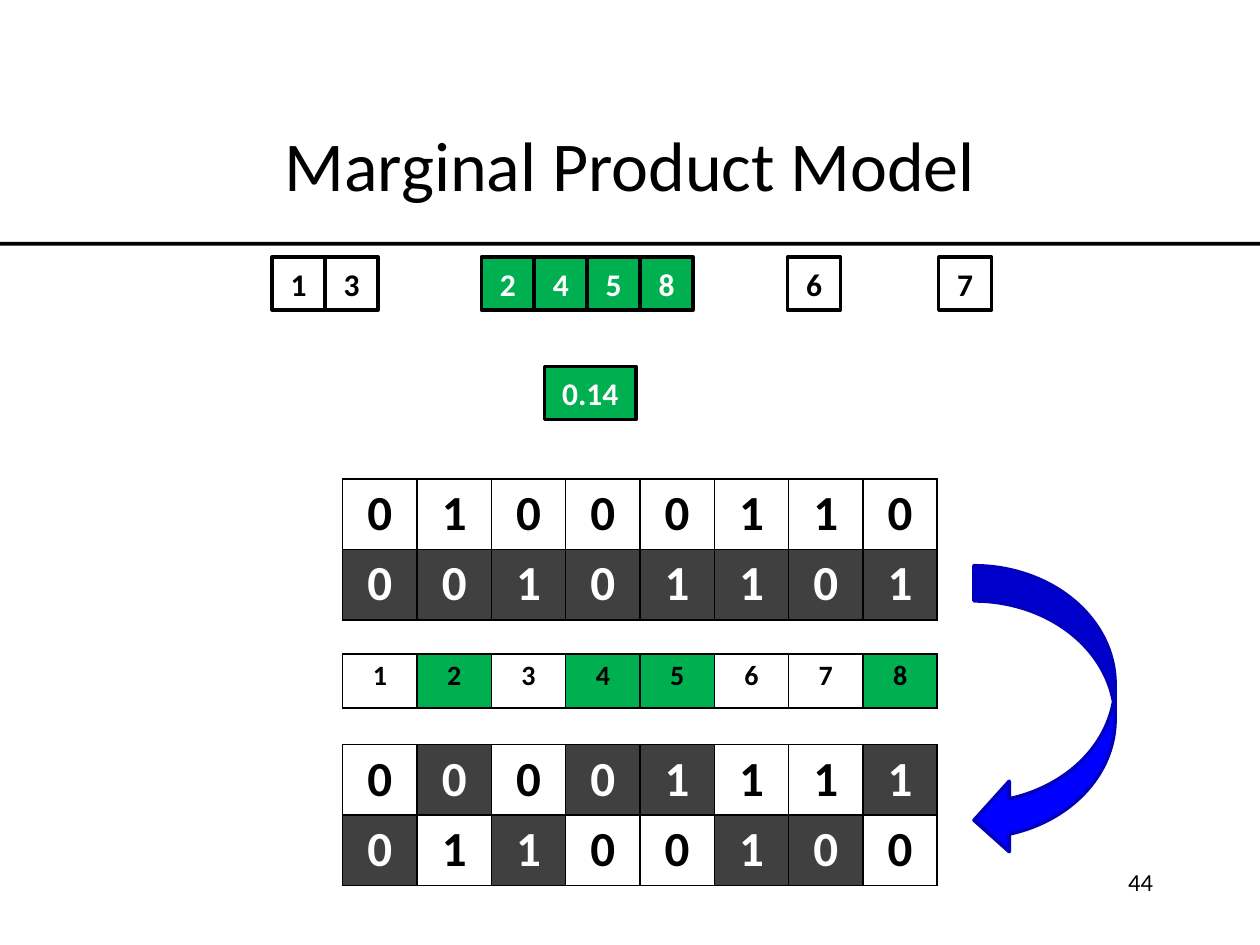
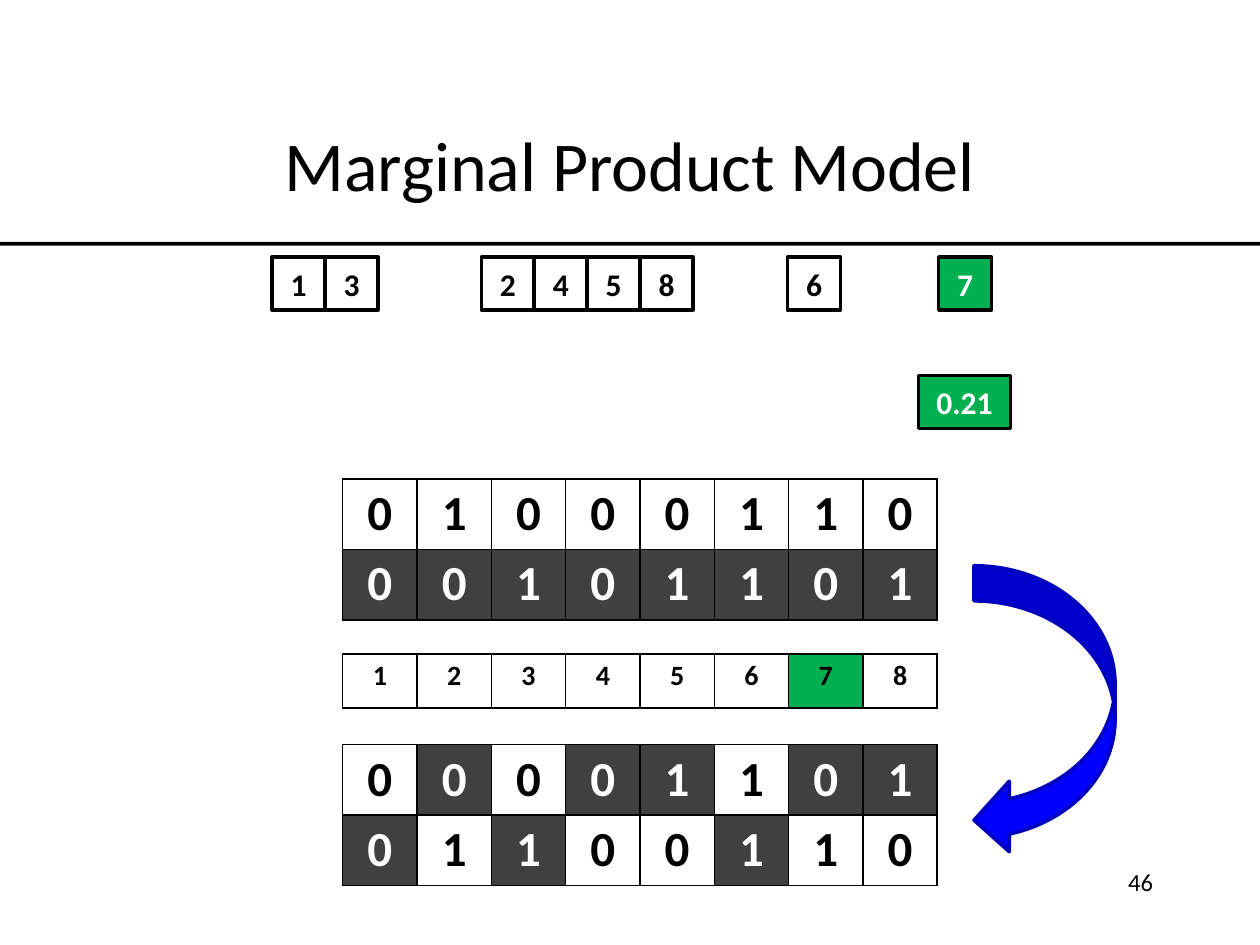
from lxml.etree import SubElement
from pptx import Presentation
from pptx.dml.color import RGBColor
from pptx.enum.shapes import MSO_SHAPE as SHAPE
from pptx.enum.text import MSO_ANCHOR as ANCHOR, PP_ALIGN as ALIGN
from pptx.oxml.ns import qn
from pptx.util import Inches, Pt

COLORS = {
    "ink": "000000",
    "paper": "FFFFFF",
    "active": "00B050",
    "second_parent": "404040",
    "arrow": "0000FF",
    "arrow_edge": "0000BD",
}
FONT = "Calibri"
PARENTS = ["01000110", "00101101"]
GENES = range(1, 9)
BLOCKS = [(2.16, [1, 3]), (3.82, [2, 4, 5, 8]), (6.25, [6]), (7.45, [7])]
GENE_SIZE = 0.42
COLUMN_WIDTH = 0.59
GRID_LEFT = 2.72


def rgb(name):
    """Return the named colour."""
    return RGBColor.from_string(COLORS[name])


def write(frame, text, size=18, color="ink", bold=False, align=ALIGN.CENTER, anchor=ANCHOR.TOP):
    """Fill a text frame with one formatted line."""
    frame.word_wrap = True
    frame.vertical_anchor = anchor
    paragraph = frame.paragraphs[0]
    paragraph.alignment = align
    run = paragraph.add_run()
    run.text = text
    run.font.name = FONT
    run.font.size = Pt(size)
    run.font.bold = bold
    run.font.color.rgb = rgb(color)


def paint(fill, color):
    """Fill with a named colour, or leave clear."""
    if color:
        fill.solid()
        fill.fore_color.rgb = rgb(color)
    else:
        fill.background()


def add_figure(slide, preset, box, fill=None, edge=None):
    """Add a preset shape without shadow to a box."""
    figure = slide.shapes.add_shape(preset, *map(Inches, box))
    figure.shadow.inherit = False
    paint(figure.fill, fill)
    paint(figure.line.fill, edge)
    if edge:
        figure.line.width = Pt(2)
    return figure


def add_label(slide, box, text, active):
    """Add an outlined box with a bold label."""
    label = add_figure(slide, SHAPE.RECTANGLE, box, "active" if active else None, "ink")
    write(label.text_frame, text, color="paper" if active else "ink",
          bold=True, anchor=ANCHOR.MIDDLE)


def add_frame(slide, title, number):
    """Set the title, the rule below it and the page number."""
    heading = slide.shapes.title
    heading.left, heading.top, heading.width, heading.height = map(Inches, (0.75, 0.67, 8.5, 1.25))
    write(heading.text_frame, title, size=40, anchor=ANCHOR.MIDDLE)
    add_figure(slide, SHAPE.RECTANGLE, (0, 1.92, 10, 0.03), "ink")
    page = slide.shapes.add_textbox(*map(Inches, (7.17, 6.83, 2.08, 0.5)))
    write(page.text_frame, str(number), size=14, align=ALIGN.RIGHT)


def add_blocks(slide, top, active):
    """Draw the gene groups of the model in one row."""
    for left, genes in BLOCKS:
        for place, gene in enumerate(genes):
            box = (left + place * GENE_SIZE, top, GENE_SIZE, GENE_SIZE)
            add_label(slide, box, str(gene), gene in active)


def add_borders(cell):
    """Draw a thin line on every side of a cell."""
    properties = cell._tc.get_or_add_tcPr()
    for side in ("lnL", "lnR", "lnT", "lnB"):
        line = SubElement(properties, qn(f"a:{side}"), w=str(Pt(1)))
        solid = SubElement(line, qn("a:solidFill"))
        SubElement(solid, qn("a:srgbClr"), val=COLORS["ink"])


def add_grid(slide, top, row_height, rows, size):
    """Add a table from rows of (text, fill, text colour) cells."""
    columns = len(rows[0])
    box = (GRID_LEFT, top, columns * COLUMN_WIDTH, len(rows) * row_height)
    grid = slide.shapes.add_table(len(rows), columns, *map(Inches, box)).table
    grid.first_row = grid.horz_banding = False
    for column in grid.columns:
        column.width = Inches(COLUMN_WIDTH)
    for r, row in enumerate(rows):
        grid.rows[r].height = Inches(row_height)
        for c, (text, fill, color) in enumerate(row):
            cell = grid.cell(r, c)
            cell.margin_left = cell.margin_right = Inches(0.09)
            cell.margin_top = cell.margin_bottom = Inches(0.04)
            add_borders(cell)
            paint(cell.fill, fill)
            write(cell.text_frame, text, size=size, color=color, bold=True)


def crossed(swapped):
    """Return both strings with the swapped genes exchanged."""
    rows = []
    for child in (0, 1):
        row = []
        for gene in GENES:
            parent = 1 - child if gene in swapped else child
            style = ("second_parent", "paper") if parent else (None, "ink")
            row.append((PARENTS[parent][gene - 1], *style))
        rows.append(row)
    return rows


def add_crossover(slide, top, active, swapped):
    """Stack parents, gene numbers and offspring beside an arrow."""
    numbers = [(str(g), "active" if g in active else None, "ink") for g in GENES]
    add_grid(slide, top, 0.56, crossed([]), 28)
    add_figure(slide, SHAPE.CURVED_LEFT_ARROW, (7.73, top + 0.69, 1.12, 2.3), "arrow", "arrow_edge")
    add_grid(slide, top + 2.11, 0.56, crossed(swapped), 28)
    add_grid(slide, top + 1.39, 0.43, [numbers], 16)


def build_slide(deck, number, active, swapped, score, score_at):
    """Build one step of the crossover."""
    slide = deck.slides.add_slide(deck.slide_layouts.get_by_name("Title Only"))
    add_frame(slide, "Marginal Product Model", number)
    add_blocks(slide, 2.04, active)
    add_crossover(slide, 3.8, active, swapped)
    add_label(slide, (*score_at, 0.73, GENE_SIZE), score, True)


def main():
    """Build and save the deck."""
    deck = Presentation()
    deck.slide_width, deck.slide_height = Inches(10), Inches(7.5)
    build_slide(deck, 44, [2, 4, 5, 8], [2, 4, 5, 8], "0.14", (4.32, 2.91))
    build_slide(deck, 46, [7], [2, 4, 5, 7, 8], "0.21", (7.29, 2.98))
    deck.save("out.pptx")


if __name__ == "__main__":
    main()
